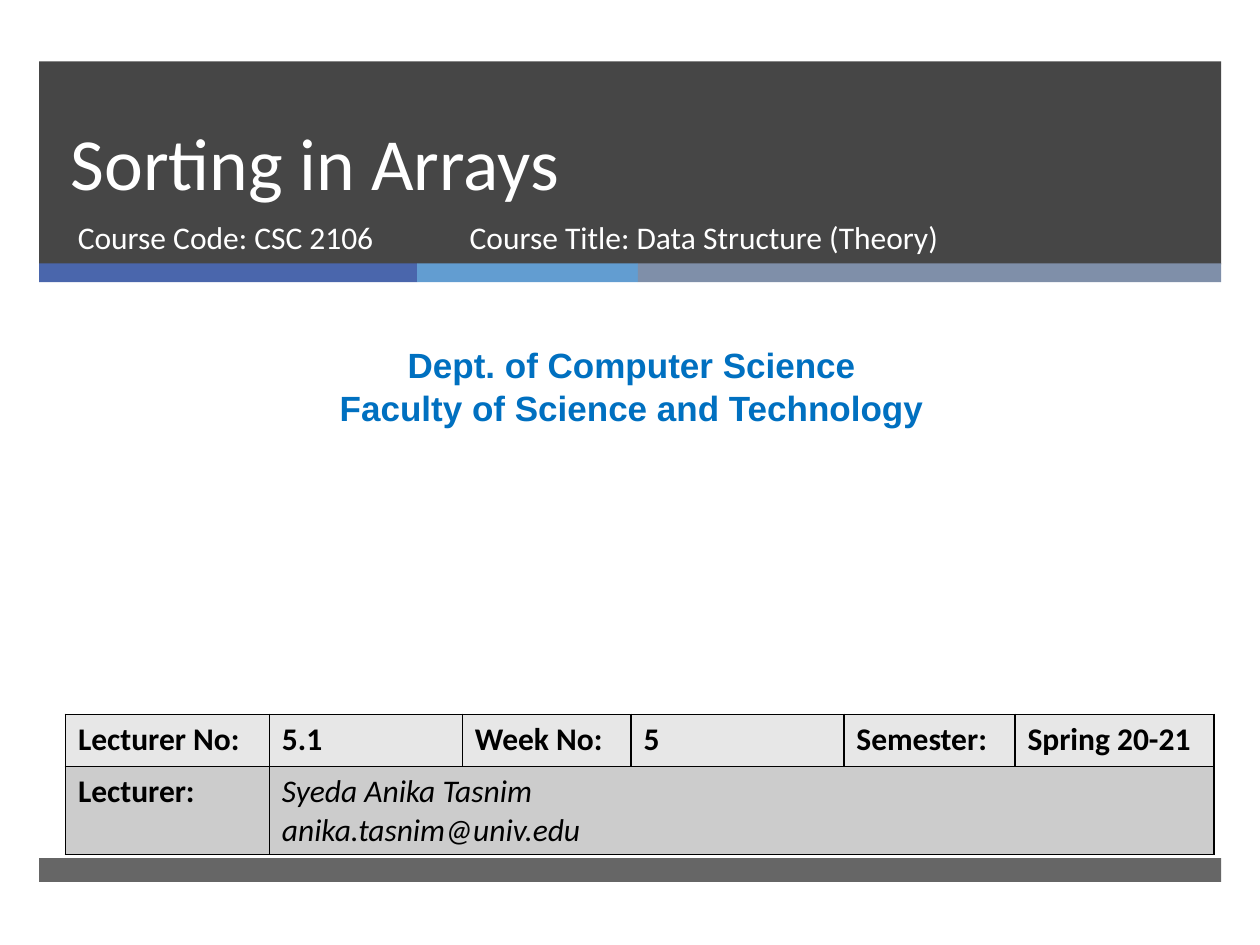
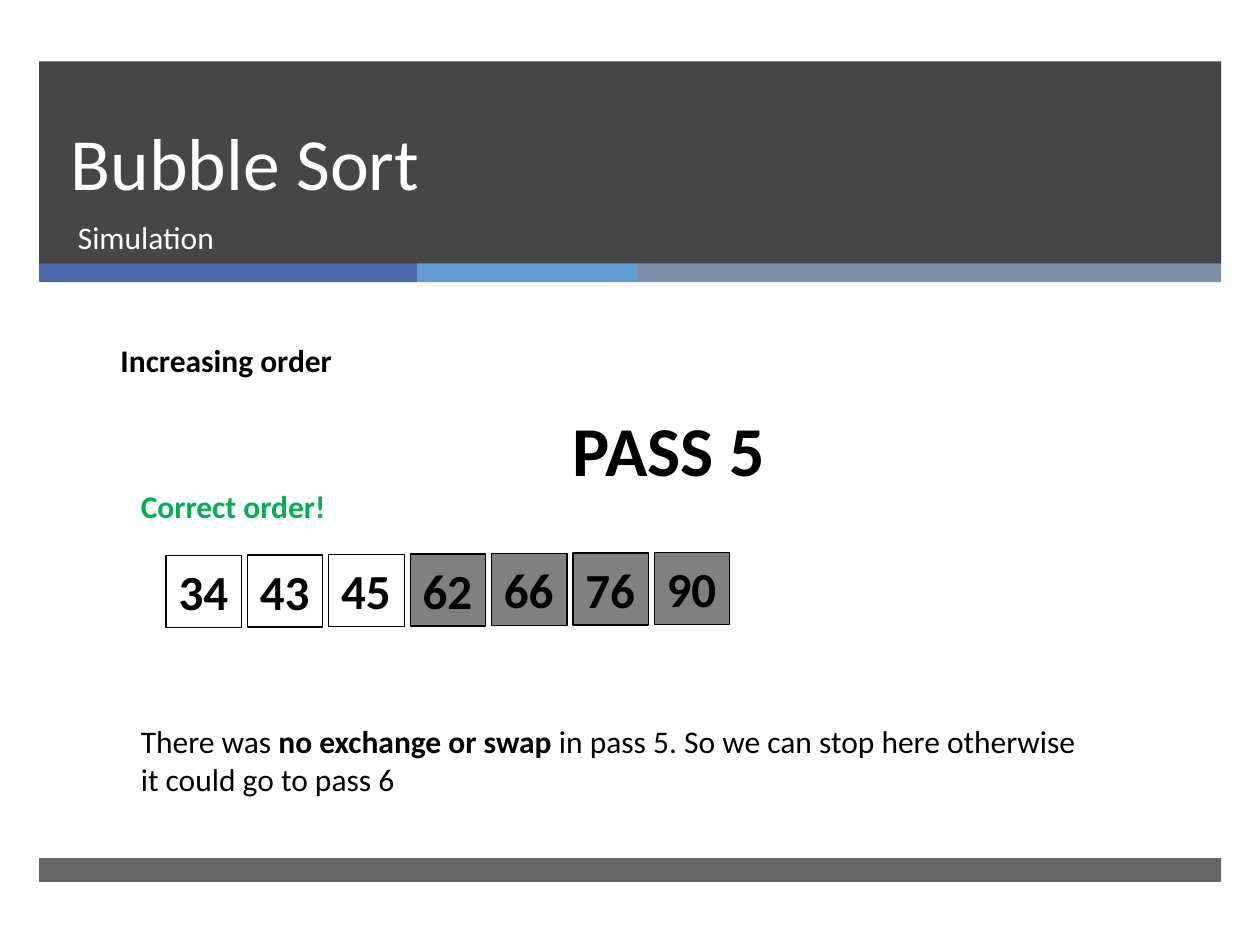
"""Build two lecture slides on sorting arrays."""
from lxml import etree
from pptx import Presentation
from pptx.dml.color import RGBColor
from pptx.enum.shapes import MSO_SHAPE
from pptx.enum.text import MSO_ANCHOR, MSO_AUTO_SIZE, PP_ALIGN
from pptx.oxml.ns import qn
from pptx.util import Cm, Pt

RECTANGLE = MSO_SHAPE.RECTANGLE
LEFT, CENTER, JUSTIFY = PP_ALIGN.LEFT, PP_ALIGN.CENTER, PP_ALIGN.JUSTIFY
TOP, BOTTOM = MSO_ANCHOR.TOP, MSO_ANCHOR.BOTTOM
FIXED_SIZE = MSO_AUTO_SIZE.NONE

TITLE_ONLY = 5
BLACK, WHITE = "000000", "FFFFFF"
DARK, SORTED_GRAY = "262626", "808080"
BLUE, GREEN = "0070C0", "00B050"
ROW_FILLS = ("E7E7E7", "CCCCCC")

BAND_LEFT, BAND_WIDTH = 0.79, 23.83
ACCENTS = (("4A66AC", 7.62), ("629DD1", 4.45), ("7F8FA9", 11.76))
SUBTITLE_TOP, SUBTITLE_HEIGHT = 4.27, 1.35


def color(hex_text):
    """Return the colour for a hex string."""
    return RGBColor.from_string(hex_text)


def place(left, top, width, height):
    """Turn centimetres into lengths."""
    return [Cm(value) for value in (left, top, width, height)]


def paint(fill, hex_text, opacity=100):
    """Apply a solid fill, see-through below an opacity of 100 percent."""
    fill.solid()
    fill.fore_color.rgb = color(hex_text)
    if opacity < 100:
        rgb = fill._xPr.find(".//" + qn("a:srgbClr"))
        etree.SubElement(rgb, qn("a:alpha"), val=str(opacity * 1000))


def format_paragraphs(frame, size=18, ink=BLACK, bold=False, italic=False,
                      font="Calibri", align=LEFT):
    """Give every paragraph of a frame the same font and alignment."""
    for para in frame.paragraphs:
        para.alignment = align
        para.font.name = font
        para.font.size = Pt(size)
        para.font.bold = bold
        para.font.italic = italic
        para.font.color.rgb = color(ink)


def add_text(slide, text, area, wrap=True, **style):
    """Add a text box; a newline in the text starts a paragraph."""
    frame = slide.shapes.add_textbox(*place(*area)).text_frame
    frame.word_wrap = wrap
    frame.text = text
    format_paragraphs(frame, **style)
    return frame


def add_rectangle(slide, area, fill=None, opacity=100, line=None):
    """Add a rectangle without shadow."""
    box = slide.shapes.add_shape(RECTANGLE, *place(*area))
    box.shadow.inherit = False
    if fill:
        paint(box.fill, fill, opacity)
    else:
        box.fill.background()
    if line:
        box.line.color.rgb = color(line)
        box.line.width = Pt(0.75)
    else:
        box.line.fill.background()
    return box


def add_bands_to_layout(slide):
    """Draw the header and footer bands and move them to the slide's layout."""
    bands = [
        add_rectangle(slide, (BAND_LEFT, 1.24, BAND_WIDTH, 4.09), DARK, 85),
        add_rectangle(slide, (BAND_LEFT, 17.3, BAND_WIDTH, 0.48), DARK, 70),
    ]
    left = BAND_LEFT
    for fill, width in ACCENTS:
        bands.append(add_rectangle(slide, (left, 5.31, width, 0.38), fill))
        left += width
    layout_tree = slide.slide_layout.shapes._spTree
    for number, band in enumerate(bands):
        band.element.nvSpPr.cNvPr.set("id", str(100 + number))
        layout_tree.insert(2 + number, band.element)


def add_slide(deck, title):
    """Add a title-only slide and format its title."""
    slide = deck.slides.add_slide(deck.slide_layouts[TITLE_ONLY])
    box = slide.shapes.title
    box.left, box.top, box.width, box.height = place(1.17, 1.24, 21.69, 3.02)
    frame = box.text_frame
    frame.text = title
    frame.word_wrap = True
    frame.auto_size = FIXED_SIZE
    frame.vertical_anchor = BOTTOM
    format_paragraphs(frame, size=42, ink=WHITE)
    frame.paragraphs[0].line_spacing = Pt(46)
    return slide


def add_subtitle(slide, text, left, width):
    """Add a white line of text under the title."""
    add_text(slide, text, (left, SUBTITLE_TOP, width, SUBTITLE_HEIGHT),
             ink=WHITE)


def add_borders(cell):
    """Draw a black line on all four sides of a cell."""
    properties = cell._tc.get_or_add_tcPr()
    for side in ("lnL", "lnR", "lnT", "lnB"):
        line = etree.SubElement(properties, qn("a:" + side), w=str(Pt(1)))
        fill = etree.SubElement(line, qn("a:solidFill"))
        etree.SubElement(fill, qn("a:srgbClr"), val=BLACK)


def add_lecture_table(slide):
    """Add the table with lecture, week, semester and lecturer."""
    widths = (4.11, 3.89, 3.4, 4.29, 3.45, 4.01)
    heights = (1.05, 1.77)
    rows = (
        ("Lecturer No:", "5.1", "Week No:", "5", "Semester:", "Spring 20-21"),
        ("Lecturer:", "Syeda Anika Tasnim\nanika.tasnim@univ.edu"),
    )
    area = place(1.32, 14.4, sum(widths), sum(heights))
    table = slide.shapes.add_table(len(rows), len(widths), *area).table
    table.first_row = table.horz_banding = False
    for column, width in zip(table.columns, widths):
        column.width = Cm(width)
    for row, height, fill in zip(table.rows, heights, ROW_FILLS):
        row.height = Cm(height)
        for cell in row.cells:
            add_borders(cell)
            paint(cell.fill, fill)
    table.cell(1, 1).merge(table.cell(1, len(widths) - 1))
    for row_number, texts in enumerate(rows):
        for column_number, text in enumerate(texts):
            frame = table.cell(row_number, column_number).text_frame
            frame.text = text
            is_person = (row_number, column_number) == (1, 1)
            format_paragraphs(frame, bold=not is_person, italic=is_person)


def add_array(slide, values, sorted_from):
    """Add a row of number boxes, gray from the given index on."""
    for index, value in enumerate(values):
        area = (3.35 + 1.64 * index, 11.2 - 0.01 * index, 1.52, 1.45)
        fill = SORTED_GRAY if index >= sorted_from else None
        frame = add_rectangle(slide, area, fill, line=BLACK).text_frame
        frame.word_wrap = False
        frame.vertical_anchor = TOP
        frame.text = str(value)
        format_paragraphs(frame, size=28, bold=True)


def build_opening(deck):
    """Build the opening slide and the bands that all slides share."""
    slide = add_slide(deck, "Sorting in Arrays")
    add_bands_to_layout(slide)
    add_subtitle(slide, "Course Code: CSC 2106", 1.32, 7.75)
    add_subtitle(slide, "Course Title: Data Structure (Theory)", 9.22, 11.56)
    add_text(slide,
             "Dept. of Computer Science\nFaculty of Science and Technology",
             (0.2, 6.81, 25.07, 1.96), size=20, ink=BLUE, bold=True,
             font="Arial", align=CENTER)
    add_lecture_table(slide)


def build_simulation(deck):
    """Build the slide with the fifth pass of bubble sort."""
    slide = add_slide(deck, "Bubble Sort")
    add_subtitle(slide, "Simulation", 1.32, 21.54)
    add_text(slide, "Increasing order", (2.18, 6.76, 20.12, 1.8), bold=True,
             align=JUSTIFY)
    add_text(slide, "PASS 5", (11.3, 8.08, 4.42, 1.96), wrap=False, size=40,
             bold=True)
    add_text(slide, "Correct order!", (2.59, 9.7, 4.5, 1.02), ink=GREEN,
             bold=True)
    add_array(slide, (34, 43, 45, 62, 66, 76, 90), sorted_from=3)
    note = add_text(slide, "There was ", (2.59, 14.43, 19.71, 1.8))
    para = note.paragraphs[0]
    span = para.add_run()
    span.text = "no exchange or swap"
    span.font.bold = True
    para.add_run().text = (" in pass 5. So we can stop here otherwise "
                           "it could go to pass 6")


def main():
    """Build and save the deck."""
    deck = Presentation()
    deck.slide_width, deck.slide_height = Cm(25.4), Cm(19.05)
    build_opening(deck)
    build_simulation(deck)
    deck.save("out.pptx")


main()
